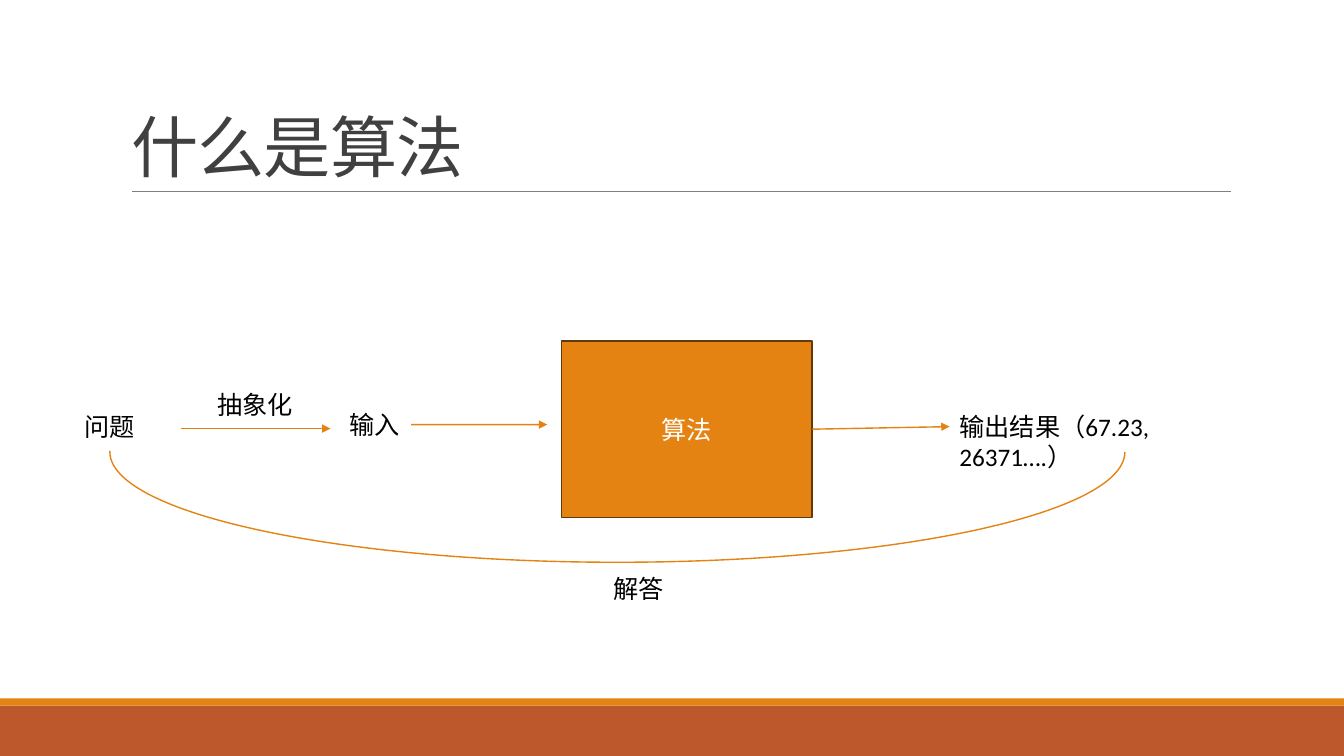
from dataclasses import dataclass

from lxml.etree import SubElement
from pptx import Presentation
from pptx.dml.color import RGBColor
from pptx.enum.shapes import MSO_CONNECTOR, MSO_SHAPE
from pptx.enum.text import MSO_ANCHOR, MSO_AUTO_SIZE, PP_ALIGN
from pptx.oxml.ns import qn
from pptx.shapes.autoshape import Shape
from pptx.shapes.connector import Connector
from pptx.slide import Slide
from pptx.text.text import TextFrame
from pptx.util import Cm, Pt

ORANGE = RGBColor(0xE4, 0x83, 0x12)
RUST = RGBColor(0xBD, 0x58, 0x2C)
BROWN = RGBColor(0x64, 0x39, 0x08)
GREY = RGBColor(0x80, 0x80, 0x80)
DARK_GREY = RGBColor(0x40, 0x40, 0x40)
BLACK = RGBColor(0, 0, 0)
WHITE = RGBColor(0xFF, 0xFF, 0xFF)

FONT = "Calibri"
SLIDE_WIDTH, SLIDE_HEIGHT = 33.87, 19.05
LABEL_HEIGHT = 1.02


@dataclass(frozen=True)
class Label:
    text: str
    left: float
    top: float
    width: float
    wrap: bool = False
    right_inset: float = 0.25


@dataclass(frozen=True)
class Band:
    top: float
    height: float
    color: RGBColor


PROBLEM = Label("问题", 1.88, 10.24, 1.8)
ABSTRACTION = Label("抽象化", 5.23, 9.68, 2.44)
INPUT = Label("输入", 8.56, 10.19, 1.8)
OUTPUT = Label("输出结果（67.23, 26371….）", 23.93, 10.24, 8.36, wrap=True, right_inset=2.8)
ANSWER = Label("解答", 15.21, 14.33, 1.8)
BANDS = (Band(17.78, 1.27, RUST), Band(17.6, 0.18, ORANGE))


def write(frame: TextFrame, text: str, *, size: float = 18, color: RGBColor = BLACK,
          align: PP_ALIGN = PP_ALIGN.LEFT, anchor: MSO_ANCHOR = MSO_ANCHOR.TOP,
          wrap: bool = True, line_spacing: float = 1.0, tracking: float = 0) -> None:
    frame.auto_size = MSO_AUTO_SIZE.NONE
    frame.word_wrap = wrap
    frame.vertical_anchor = anchor
    paragraph = frame.paragraphs[0]
    paragraph.alignment = align
    paragraph.line_spacing = line_spacing
    run = paragraph.add_run()
    run.text = text
    run.font.name = FONT
    run.font.size = Pt(size)
    run.font.color.rgb = color
    if tracking:
        run.font._element.set("spc", str(round(tracking * 100)))


def add_label(slide: Slide, label: Label) -> Shape:
    box = slide.shapes.add_textbox(
        Cm(label.left), Cm(label.top), Cm(label.width), Cm(LABEL_HEIGHT))
    box.text_frame.margin_right = Cm(label.right_inset)
    write(box.text_frame, label.text, wrap=label.wrap)
    return box


def add_band(slide: Slide, band: Band) -> None:
    bar = slide.shapes.add_shape(
        MSO_SHAPE.RECTANGLE, 0, Cm(band.top), Cm(SLIDE_WIDTH), Cm(band.height))
    bar.shadow.inherit = False
    bar.fill.solid()
    bar.fill.fore_color.rgb = band.color
    bar.line.fill.background()


def add_level_line(slide: Slide, start: float, end: float, y: float, *,
                   color: RGBColor = ORANGE, weight: float = 1,
                   arrow: bool = True) -> Connector:
    line = slide.shapes.add_connector(
        MSO_CONNECTOR.STRAIGHT, Cm(start), Cm(y), Cm(end), Cm(y))
    line.line.color.rgb = color
    line.line.width = Pt(weight)
    if arrow:
        SubElement(line.line._get_or_add_ln(), qn("a:tailEnd"), type="triangle")
    SubElement(line._element.spPr, qn("a:effectLst"))
    return line


def add_algorithm_box(slide: Slide) -> Shape:
    box = slide.shapes.add_shape(
        MSO_SHAPE.RECTANGLE, Cm(14.15), Cm(8.59), Cm(6.32), Cm(4.45))
    box.shadow.inherit = False
    box.fill.solid()
    box.fill.fore_color.rgb = ORANGE
    box.line.color.rgb = BROWN
    box.line.width = Pt(1.25)
    write(box.text_frame, "算法", color=WHITE, align=PP_ALIGN.CENTER,
          anchor=MSO_ANCHOR.MIDDLE)
    return box


def add_answer_arc(slide: Slide) -> None:
    """Draw the lower half ellipse from the problem to the output."""
    arc = slide.shapes.add_shape(
        MSO_SHAPE.ARC, Cm(2.77), Cm(8.61), Cm(25.58), Cm(5.56))
    arc.adjustments[0] = 107.93
    arc.adjustments[1] = 0
    arc._element.spPr.xfrm.set("flipV", "1")
    arc.shadow.inherit = False
    arc.fill.background()
    arc.line.color.rgb = ORANGE
    arc.line.width = Pt(1)


def main() -> None:
    deck = Presentation()
    deck.slide_width, deck.slide_height = Cm(SLIDE_WIDTH), Cm(SLIDE_HEIGHT)
    slide = deck.slides.add_slide(deck.slide_layouts[5])

    for band in BANDS:
        add_band(slide, band)
    add_level_line(slide, 3.33, 31.01, 4.83, color=GREY, weight=0.5, arrow=False)

    title = slide.shapes.title
    title.left, title.top, title.width, title.height = (
        Cm(3.05), Cm(0.79), Cm(27.94), Cm(4.04))
    write(title.text_frame, "什么是算法", size=48, color=DARK_GREY,
          anchor=MSO_ANCHOR.BOTTOM, line_spacing=0.85, tracking=-0.5)

    algorithm = add_algorithm_box(slide)
    output = add_label(slide, OUTPUT)
    result_arrow = add_level_line(slide, 20.47, 23.93, 10.75)
    result_arrow.begin_connect(algorithm, 3)
    result_arrow.end_connect(output, 1)

    add_label(slide, PROBLEM)
    add_level_line(slide, 4.55, 8.33, 10.8)
    given = add_label(slide, INPUT)
    add_label(slide, ABSTRACTION)
    input_arrow = add_level_line(slide, 10.36, 13.79, 10.7)
    input_arrow.begin_connect(given, 3)

    add_answer_arc(slide)
    add_label(slide, ANSWER)
    deck.save("out.pptx")


if __name__ == "__main__":
    main()
